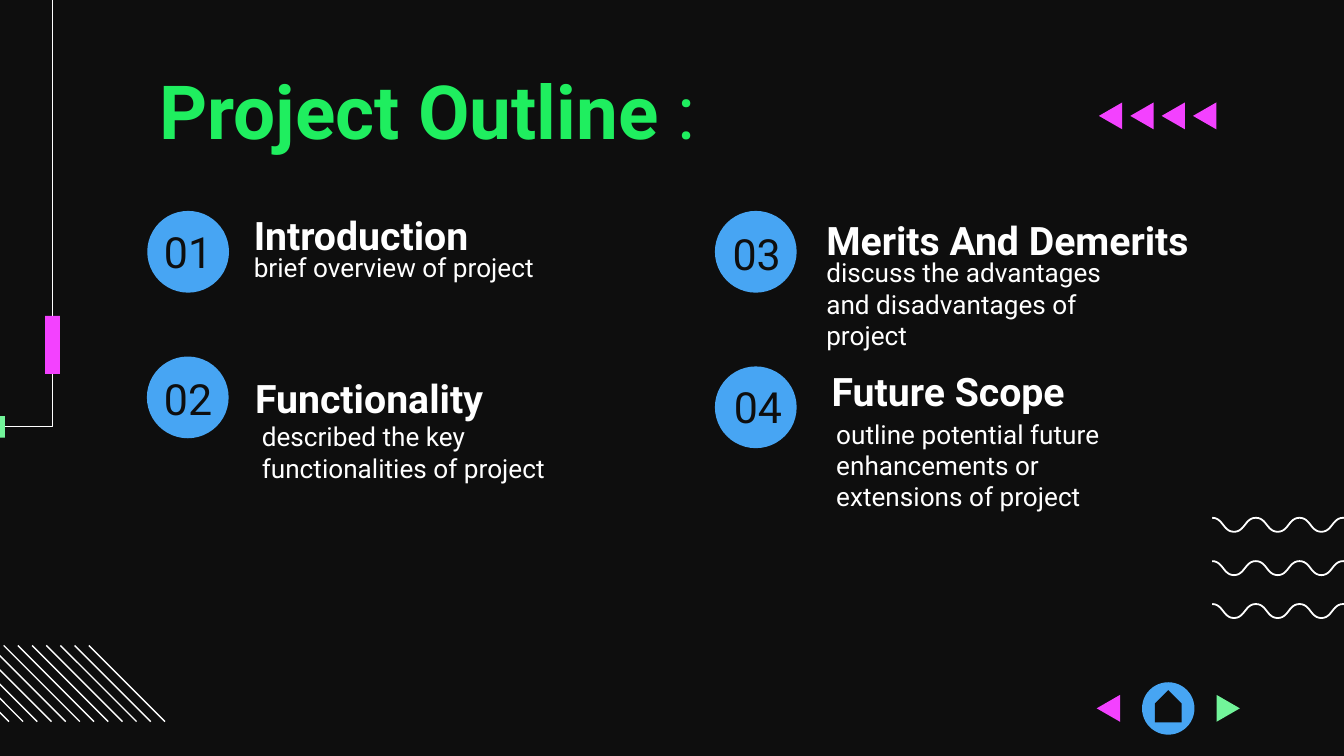
import pptx
import pptx.dml.color
import pptx.enum.shapes
import pptx.enum.text
import pptx.util
from lxml import etree

Pt = pptx.util.Pt
SHAPE = pptx.enum.shapes.MSO_SHAPE
ALIGN = pptx.enum.text.PP_ALIGN
WHITE, DARK, BLUE = "FFFFFF", "0E0E0E", "47A5F3"
PINK, MINT, GREEN = "F341FF", "72F49A", "1FEE5F"
hex_color = pptx.dml.color.RGBColor.from_string

prs = pptx.Presentation()
prs.slide_width, prs.slide_height = Pt(720), Pt(405)
s = prs.slides.add_slide(prs.slide_layouts[6])
s.background.fill.solid()
s.background.fill.fore_color.rgb = hex_color(DARK)


def paint(sp, fill=None, line=None, width=0.75):
    """Set fill and outline; a missing colour means none."""
    sp.shadow.inherit = False
    for part, color in ((sp.fill, fill), (sp.line.fill, line)):
        if color:
            part.solid()
            part.fore_color.rgb = hex_color(color)
        else:
            part.background()
    if line:
        sp.line.width = Pt(width)
    return sp


def add_text(x, y, w, h, runs, size, color, top=0, align=ALIGN.LEFT):
    """Add a one-paragraph text box; runs are (text, bold) pairs."""
    tf = s.shapes.add_textbox(Pt(x), Pt(y), Pt(w), Pt(h)).text_frame
    tf.word_wrap = True
    tf.margin_left = tf.margin_right = tf.margin_bottom = Pt(7.2)
    tf.margin_top = Pt(top)
    p = tf.paragraphs[0]
    p.alignment = align
    for text, bold in runs:
        r = p.add_run()
        r.text = text
        r.font.name, r.font.size, r.font.bold = "Roboto", Pt(size), bold
        r.font.color.rgb = hex_color(color)
    return p


# Waves at the right edge: seven eased half-waves each
half, depth, steps = 11.7, 7.5, 12
for top in (277.4, 300.6, 323.6):
    points = []
    for i in range(7):
        for j in range(1, steps + 1):
            t = j / steps
            ease = 3 * t**2 - 2 * t**3
            x = 649.4 + half * (i + 1.5 * t - 1.5 * t**2 + t**3)
            y = top + depth * (ease if i % 2 == 0 else 1 - ease)
            points.append((Pt(x), Pt(y)))
    fb = s.shapes.build_freeform(Pt(649.4), Pt(top))
    fb.add_line_segments(points, close=False)
    paint(fb.convert_to_shape(), line=WHITE, width=0.95)

# Diagonal stripes at the bottom left
for i in range(12):
    x = -36 + 7.6 * i
    sp = s.shapes.add_connector(pptx.enum.shapes.MSO_CONNECTOR.STRAIGHT,
                                Pt(x), Pt(345.8), Pt(x + 40.8), Pt(386.6))
    sp.line.color.rgb = hex_color(WHITE)
    sp.line.width = Pt(0.75)
    etree.SubElement(sp._element.spPr, pptx.oxml.ns.qn("a:effectLst"))

# Corner line with its two blocks
fb = s.shapes.build_freeform(Pt(-283), Pt(228.6))
fb.add_line_segments([(Pt(28.1), Pt(228.6)), (Pt(28.1), Pt(-15.8))], close=False)
paint(fb.convert_to_shape(), line=WHITE)
for x, y, w, h, color in ((-8.9, 223, 11.5, 11.5, MINT), (24.2, 169.3, 7.9, 31, PINK)):
    paint(s.shapes.add_shape(SHAPE.RECTANGLE, Pt(x), Pt(y), Pt(w), Pt(h)), color)

# Title
add_text(78.5, 34.6, 607.7, 54.7, [("Project Outline ", True), (":", False)], 40, GREEN)

# Outline items: number, circle, number box, heading, description
items = [
    ("01", (78.9, 113), (68.4, 106.6), "Introduction", (128.9, 109.4),
     "brief overview of project", (128.9, 134.6, 185)),
    ("02", (78.7, 191), (68.4, 185), "Functionality", (129.6, 196.6),
     "described the key functionalities of project", (133.2, 225.4, 201.6)),
    ("03", (383, 113), (373, 107.3), "Merits And Demerits", (435.6, 112.3),
     "discuss the advantages and disadvantages of project", (435.6, 137.5, 185)),
    ("04", (383, 196.3), (373.7, 189.4), "Future Scope", (438.5, 193),
     "outline potential future enhancements or extensions of project",
     (440.9, 223.9, 185)),
]
for number, circle, number_at, heading, heading_at, detail, (x, y, w) in items:
    paint(s.shapes.add_shape(SHAPE.OVAL, *map(Pt, circle), Pt(43.8), Pt(43.8)), BLUE)
    add_text(*number_at, 64.8, 43.9, [(number, False)], 23, DARK, 14.4, ALIGN.CENTER)
    p = add_text(*heading_at, 227.5, 28, [(heading, True)], 21, WHITE)
    p.line_spacing, p.space_after = 1.15, Pt(12)
    add_text(x, y, w, 43.2, [(detail, False)], 14, WHITE)

# Arrowheads: base x, top y, signed length, colour
arrows = [(651.6 - 16.8 * i, 54.9, -12.5, PINK) for i in range(4)]
arrows += [(600, 372.3, -12.5, PINK), (651.7, 372.3, 12.5, MINT)]
for x, y, length, color in arrows:
    fb = s.shapes.build_freeform(Pt(x), Pt(y))
    fb.add_line_segments([(Pt(x + length), Pt(y + 7.2)), (Pt(x), Pt(y + 14.4))])
    paint(fb.convert_to_shape(), color)

# Home button
paint(s.shapes.add_shape(SHAPE.OVAL, Pt(611.8), Pt(365.5), Pt(28.1), Pt(28.1)), BLUE)
sp = s.shapes.add_shape(SHAPE.PENTAGON, Pt(617.2), Pt(371.2), Pt(17.3), Pt(14.4))
sp.rotation = 270
paint(sp, DARK)

prs.save("out.pptx")
